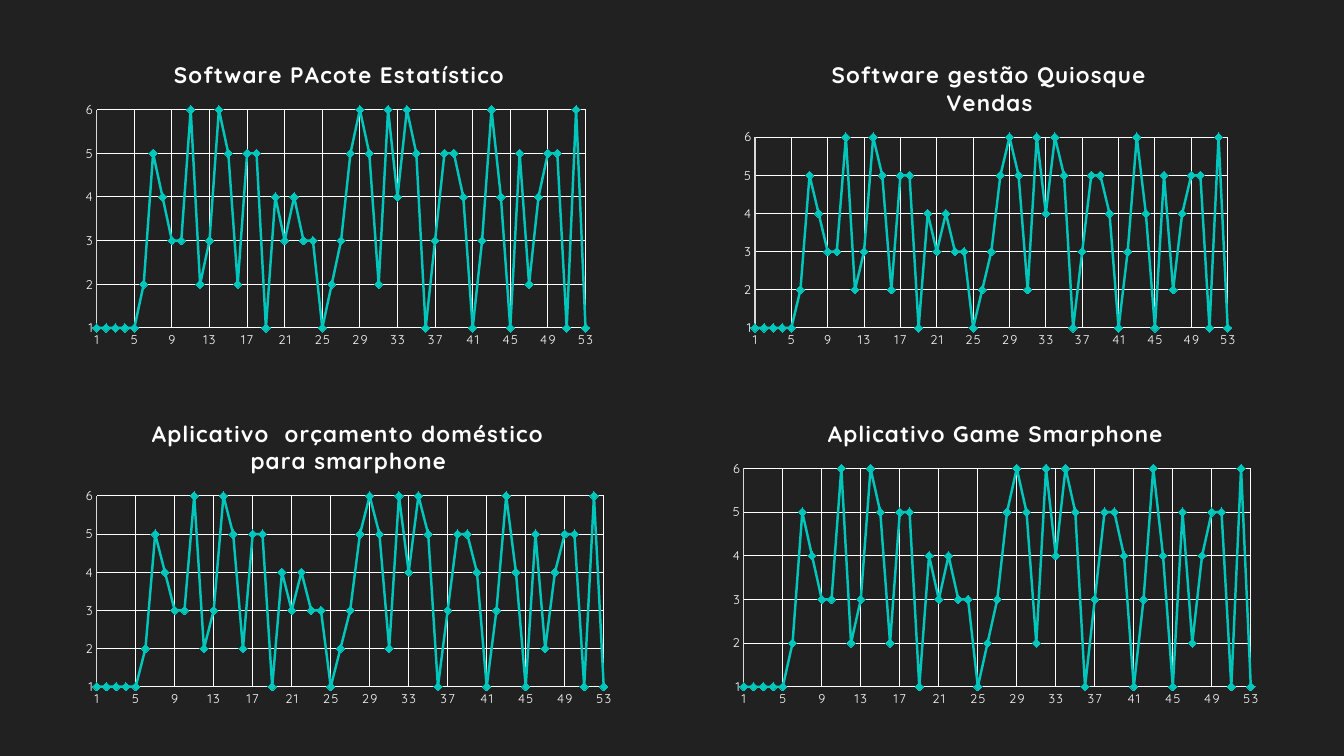
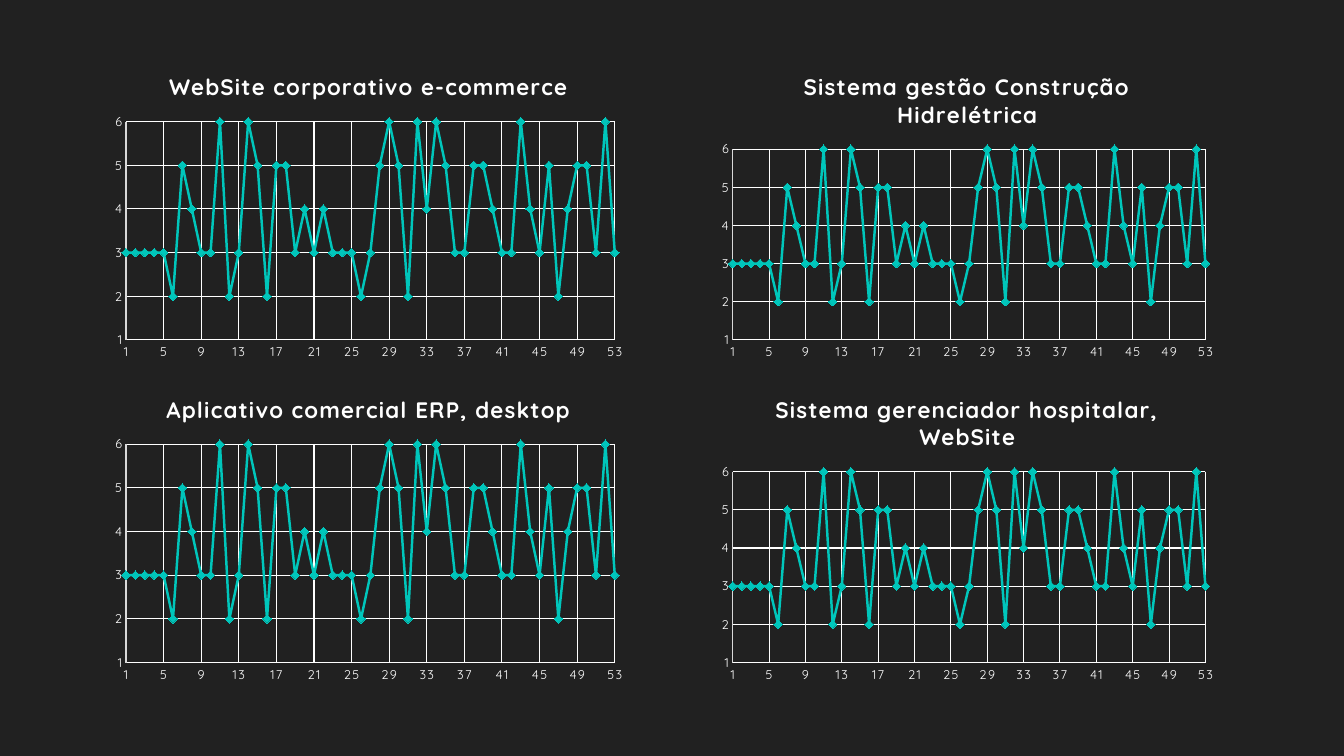
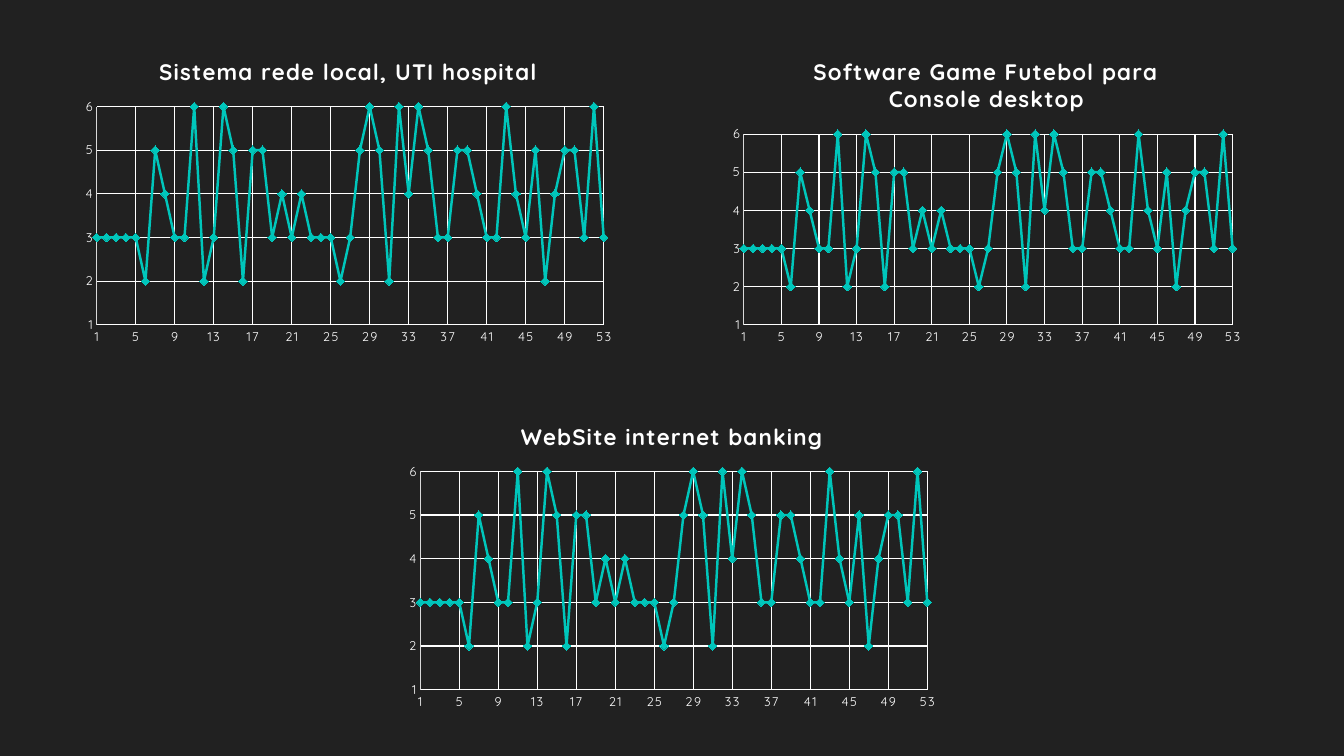
import lxml.etree
import pptx
import pptx.chart.data
import pptx.dml.color
import pptx.enum.chart
import pptx.oxml
import pptx.oxml.ns
import pptx.util

Pt = pptx.util.Pt
BACKGROUND = pptx.dml.color.RGBColor(0x21, 0x21, 0x21)
WHITE = pptx.dml.color.RGBColor(0xFF, 0xFF, 0xFF)
PALE_GREY = pptx.dml.color.RGBColor(0xD9, 0xD9, 0xD9)
TEAL = pptx.dml.color.RGBColor(0x00, 0xC6, 0xBB)
FONT = "Quicksand"

CHART_HEIGHT = 221.8
PLOT_LEFT, PLOT_RIGHT, PLOT_BOTTOM = 15.8, 13, 18.5
PLOT_TOP = {1: 47.3, 2: 67}

LOW_START = [1, 1, 1, 1, 1, 2, 5, 4, 3, 3, 6, 2, 3, 6, 5, 2, 5, 5,
             1, 4, 3, 4, 3, 3, 1, 2, 3, 5, 6, 5, 2, 6, 4, 6, 5, 1,
             3, 5, 5, 4, 1, 3, 6, 4, 1, 5, 2, 4, 5, 5, 1, 6, 1]
MIDDLE_START = [3 if value == 1 else value for value in LOW_START]

# Each chart: title, title lines, left, top, width
SLIDES = [
    (LOW_START, [
        ("Aplicativo  orçamento doméstico para smarphone", 2, 53.3, 287.3, 391),
        ("Aplicativo Game Smarphone", 1, 515.5, 287.3, 391),
        ("Software PAcote Estatístico", 1, 53.3, 31, 378),
        ("Software gestão Quiosque Vendas", 2, 523.5, 31, 366.5),
    ]),
    (MIDDLE_START, [
        ("Aplicativo comercial ERP, desktop", 1, 74.2, 270, 378),
        ("Sistema gerenciador hospitalar, WebSite", 2, 507.6, 270, 366.5),
        ("WebSite corporativo e-commerce", 1, 74.2, 39.6, 378),
        ("Sistema gestão Construção Hidrelétrica", 2, 507.6, 39.6, 366.5),
    ]),
    (MIDDLE_START, [
        ("Sistema rede local, UTI hospital", 1, 53.3, 28.8, 391),
        ("WebSite internet banking", 1, 284.4, 289.4, 391),
        ("Software Game Futebol para Console desktop", 2, 515.5, 28.8, 378),
    ]),
]


def format_font(font, size, color=WHITE, bold=False, spacing=0):
    """Set typeface, size, colour, weight and letter spacing in points."""
    font.name = FONT
    font.size = Pt(size)
    font.bold = bold
    font.color.rgb = color
    font._rPr.set("spc", str(spacing * 100))


def write_text(frame, text, **text_format):
    """Write one formatted span into a text frame."""
    span = frame.paragraphs[0].add_run()
    span.text = text
    format_font(span.font, **text_format)


def format_line(line, color, width):
    """Set the colour and width of a line."""
    line.color.rgb = color
    line.width = Pt(width)


def format_axis(axis, maximum, step, color):
    """Set the scale, labels, line and grid of an axis."""
    axis.minimum_scale = 1
    axis.maximum_scale = maximum
    axis.major_unit = step
    axis.major_tick_mark = pptx.enum.chart.XL_TICK_MARK.NONE
    axis.minor_tick_mark = pptx.enum.chart.XL_TICK_MARK.NONE
    axis.crosses = pptx.enum.chart.XL_AXIS_CROSSES.MINIMUM
    axis.has_major_gridlines = True
    format_line(axis.major_gridlines.format.line, WHITE, 0.75)
    format_line(axis.format.line, color, 0.75)
    format_font(axis.tick_labels.font, 9, spacing=1)


def format_series(series):
    """Draw a series as a straight teal line with diamond markers."""
    series.smooth = False
    format_line(series.format.line, TEAL, 1.75)
    marker = series.marker
    marker.style = pptx.enum.chart.XL_MARKER_STYLE.DIAMOND
    marker.size = 6
    marker.format.fill.solid()
    marker.format.fill.fore_color.rgb = TEAL
    format_line(marker.format.line, TEAL, 0.75)


def place_plot(chart, width, title_lines):
    """Fix the inner plot area below the title."""
    name = pptx.oxml.ns.qn
    plot_area = chart._chartSpace.chart.plotArea
    for layout in plot_area.findall(name("c:layout")):
        plot_area.remove(layout)
    layout = lxml.etree.Element(name("c:layout"))
    manual = lxml.etree.SubElement(layout, name("c:manualLayout"))
    top = PLOT_TOP[title_lines]
    settings = {
        "layoutTarget": "inner", "xMode": "edge", "yMode": "edge",
        "x": PLOT_LEFT / width,
        "y": top / CHART_HEIGHT,
        "w": (width - PLOT_LEFT - PLOT_RIGHT) / width,
        "h": (CHART_HEIGHT - top - PLOT_BOTTOM) / CHART_HEIGHT,
    }
    for key, value in settings.items():
        lxml.etree.SubElement(manual, name("c:" + key)).set("val", str(value))
    plot_area.insert(0, layout)


def add_scatter(page, values, title, title_lines, left, top, width):
    """Add a titled scatter chart of values in order."""
    data = pptx.chart.data.XyChartData()
    points = data.add_series("Series 1")
    for position, value in enumerate(values, start=1):
        points.add_data_point(position, value)
    chart = page.shapes.add_chart(
        pptx.enum.chart.XL_CHART_TYPE.XY_SCATTER_LINES,
        Pt(left), Pt(top), Pt(width), Pt(CHART_HEIGHT), data).chart
    format_font(chart.font, 10)
    chart.has_legend = False
    chart.has_title = True
    write_text(chart.chart_title.text_frame, title, size=16, bold=True, spacing=1)
    chart.plots[0].vary_by_categories = False
    format_axis(chart.category_axis, len(values), 4, WHITE)
    format_axis(chart.value_axis, 6, 1, PALE_GREY)
    format_series(chart.plots[0].series[0])
    place_plot(chart, width, title_lines)


def main():
    """Build the deck and save it."""
    deck = pptx.Presentation()
    deck.slide_width, deck.slide_height = Pt(960), Pt(540)
    fill = deck.slide_master.background.fill
    fill.solid()
    fill.fore_color.rgb = BACKGROUND
    for values, charts in SLIDES:
        page = deck.slides.add_slide(deck.slide_layouts[6])
        for chart in charts:
            add_scatter(page, values, *chart)
    deck.save("out.pptx")


main()
